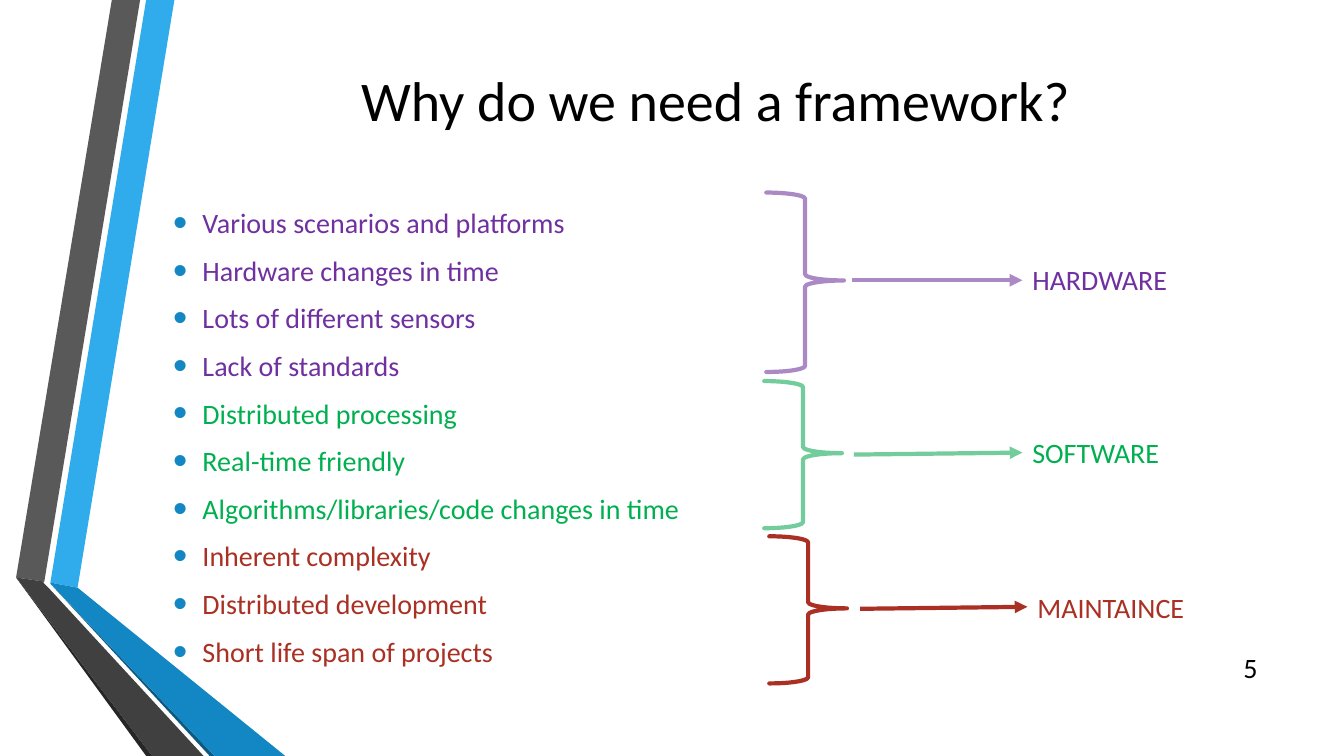
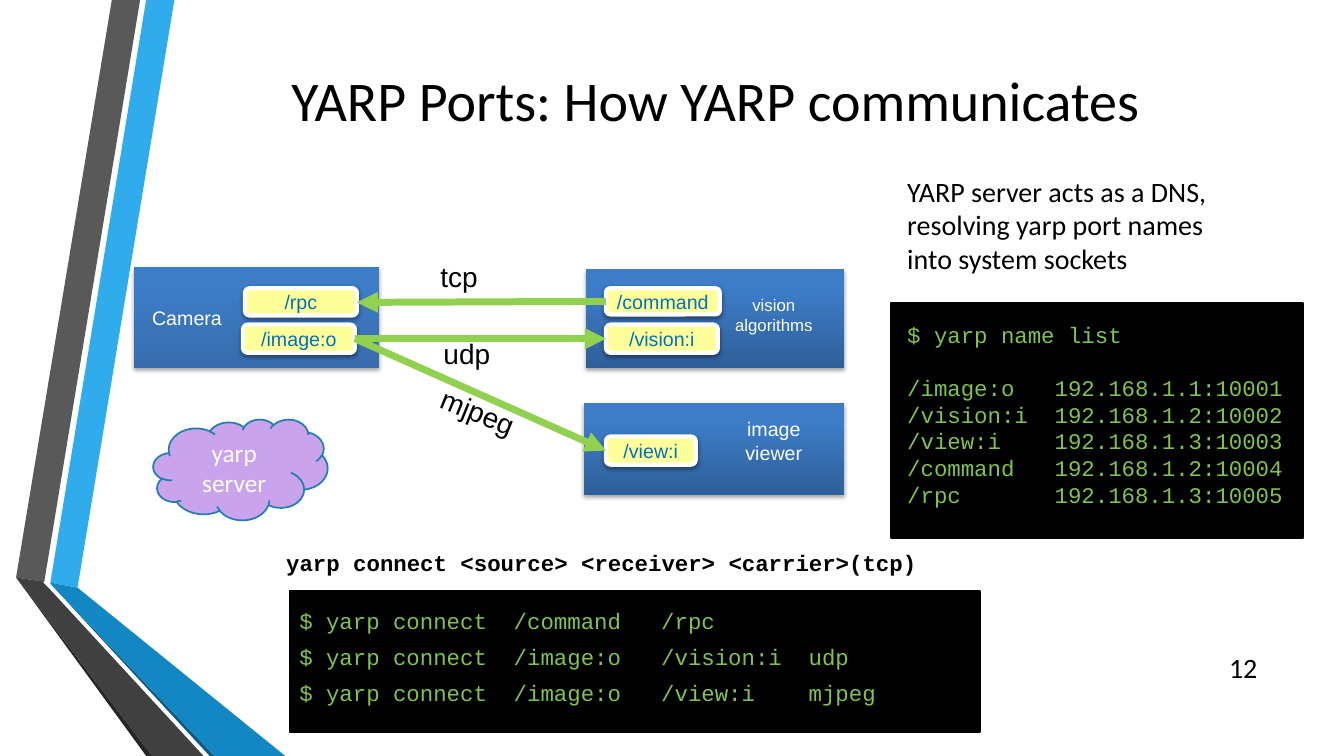
from dataclasses import dataclass, replace
from typing import Optional, Sequence

import pptx
import pptx.dml.color
import pptx.enum.dml
import pptx.enum.shapes
import pptx.enum.text
import pptx.oxml
import pptx.oxml.ns
import pptx.util
from pptx.util import Inches

SHAPE = pptx.enum.shapes.MSO_SHAPE
ALIGN = pptx.enum.text.PP_ALIGN
ANCHOR = pptx.enum.text.MSO_ANCHOR
NS = pptx.oxml.ns.nsdecls("a")

BLACK, WHITE = "000000", "FFFFFF"
PURPLE, GREEN, RED = "7030A0", "00B050", "A93023"
LINK_GREEN = "92D050"
BULLET_BLUE = "1287C3"

# Folded ribbon on the left edge: colour and outline in inches
RIBBON = [
    ("30ACEC", [(0.5, 5.78), (0.77, 5.83), (1.73, 0), (1.45, 0)]),
    ("595959", [(1.39, 0), (1.11, 0), (0.16, 5.73), (0.44, 5.77)]),
    ("262626", [(0.16, 5.73), (1.45, 7.5), (1.51, 7.5)]),
    ("0C5A82", [(0.5, 5.79), (2.08, 7.5), (2.13, 7.5)]),
    ("1287C3", [(0.5, 5.79), (2.13, 7.5), (2.83, 7.5), (0.77, 5.83), (0.5, 5.78)]),
    ("404040", [(2.02, 7.5), (0.48, 5.83), (0.43, 5.78), (0.44, 5.77),
                (0.16, 5.73), (1.51, 7.5)]),
]


@dataclass(frozen=True)
class Box:
    x: float
    y: float
    w: float
    h: float

    def emu(self) -> tuple:
        return tuple(Inches(v) for v in (self.x, self.y, self.w, self.h))


@dataclass(frozen=True)
class Style:
    size: float
    font: str = "Calibri"
    color: str = BLACK
    bold: bool = False
    align: ALIGN = ALIGN.LEFT
    before: float = 0
    after: float = 0
    line: Optional[float] = None
    bullet: bool = False


@dataclass(frozen=True)
class Need:
    label: str
    color: str
    line_color: str
    brace: Box
    arrow: tuple
    label_top: float
    items: Sequence[str]


@dataclass(frozen=True)
class Module:
    lines: Sequence[str]
    box: Box
    text_box: Box
    size: float
    dark: str


@dataclass(frozen=True)
class Port:
    name: str
    box: Box


TITLE = Style(40, align=ALIGN.CENTER)
BODY = Style(20)
NUMBER = Style(20, align=ALIGN.RIGHT)
LIST = Style(20, before=4, after=6, line=24, bullet=True)
PORT = Style(14, "Arial", "0070C0", align=ALIGN.CENTER)
CARRIER = Style(20, "Arial")
CODE = Style(16, "Courier New", "80C34F", line=19)

NEEDS = [
    Need("HARDWARE", PURPLE, "AA89C5", Box(7.6, 1.91, 0.77, 1.78),
         (8.45, 2.78, 10.14, 2.78), 2.56,
         ["Various scenarios and platforms", "Hardware changes in time",
          "Lots of different sensors", "Lack of standards"]),
    Need("SOFTWARE", GREEN, "72CC9B", Box(7.58, 3.78, 0.77, 1.46),
         (8.47, 4.51, 10.14, 4.49), 4.27,
         ["Distributed processing", "Real-time friendly",
          "Algorithms/libraries/code changes in time"]),
    Need("MAINTAINCE", RED, RED, Box(7.63, 5.32, 0.77, 1.46),
         (8.53, 6.04, 10.19, 6.02), 5.81,
         ["Inherent complexity", "Distributed development",
          "Short life span of projects"]),
]

MODULES = [
    Module(["vision", "algorithms"], Box(5.81, 2.67, 2.56, 0.98),
           Box(7.12, 2.87, 1.11, 0.5), 12, "2F5F99"),
    Module(["Camera"], Box(1.33, 2.65, 2.43, 1), Box(1.4, 2.99, 0.91, 0.34), 14, "376DAE"),
    Module(["image", "viewer"], Box(5.79, 4, 2.58, 0.91),
           Box(7.14, 4.09, 1.07, 0.57), 14, "2F5F99"),
]
PORTS = [
    Port("/vision:i", Box(6.01, 3.22, 1.11, 0.28)),
    Port("/image:o", Box(2.41, 3.22, 1.11, 0.28)),
    Port("/view:i", Box(6.01, 4.33, 0.89, 0.28)),
    Port("/rpc", Box(2.43, 2.86, 1.11, 0.27)),
    Port("/command", Box(6.01, 2.86, 1.13, 0.26)),
]
LINKS = [(3.52, 3.36, 6.01, 3.36), (3.52, 3.36, 6.01, 4.47), (6.01, 2.99, 3.54, 3)]
CARRIERS = [("udp", Box(4.3, 3.29, 0.71, 0.44), 0),
            ("mjpeg", Box(4.26, 3.88, 1.01, 0.44), 22.1),
            ("tcp", Box(4.27, 2.53, 0.66, 0.44), 0)]
NAME_LIST = [
    "/image:o   192.168.1.1:10001",
    "/vision:i  192.168.1.2:10002",
    "/view:i    192.168.1.3:10003",
    "/command   192.168.1.2:10004",
    "/rpc       192.168.1.3:10005",
]
CONNECT = [
    "$ yarp connect  /command   /rpc",
    "$ yarp connect  /image:o   /vision:i  udp",
    "$ yarp connect  /image:o   /view:i    mjpeg",
]


# Basic drawing
def rgb(color: str) -> pptx.dml.color.RGBColor:
    return pptx.dml.color.RGBColor.from_string(color)


def write(tf, lines: Sequence[str], style: Style) -> None:
    """Append one paragraph per line."""
    for text in lines:
        first = not tf.text
        p = tf.paragraphs[0] if first else tf.add_paragraph()
        if style.bullet:
            pPr = p._p.get_or_add_pPr()
            pPr.set("marL", str(Inches(0.29)))
            pPr.set("indent", str(-Inches(0.29)))
            for xml in (f'<a:buClr {NS}><a:srgbClr val="{BULLET_BLUE}"/></a:buClr>',
                        f'<a:buSzPct {NS} val="145000"/>',
                        f'<a:buFont {NS} typeface="Arial"/>',
                        f'<a:buChar {NS} char="•"/>'):
                pPr.append(pptx.oxml.parse_xml(xml))
        p.alignment = style.align
        p.space_before = pptx.util.Pt(0 if first else style.before)
        p.space_after = pptx.util.Pt(style.after)
        if style.line:
            p.line_spacing = pptx.util.Pt(style.line)
        r = p.add_run()
        r.text = text
        r.font.size = pptx.util.Pt(style.size)
        r.font.name = style.font
        r.font.bold = style.bold
        r.font.color.rgb = rgb(style.color)


def add_text(slide, box: Box, lines: Sequence[str], style: Style,
             middle: bool = False, side: float = 0.1, rotation: float = 0):
    s = slide.shapes.add_textbox(*box.emu())
    s.rotation = rotation
    tf = s.text_frame
    tf.word_wrap = True
    tf.margin_left = tf.margin_right = Inches(side)
    tf.vertical_anchor = ANCHOR.MIDDLE if middle else ANCHOR.TOP
    write(tf, lines, style)
    return tf


def add_shape(slide, kind: SHAPE, box: Box, fill: Optional[str] = None,
              line: Optional[str] = None, width: float = 1.25):
    s = slide.shapes.add_shape(kind, *box.emu())
    s.shadow.inherit = False
    if fill:
        s.fill.solid()
        s.fill.fore_color.rgb = rgb(fill)
    else:
        s.fill.background()
    if line:
        s.line.color.rgb = rgb(line)
        s.line.width = pptx.util.Pt(width)
    else:
        s.line.fill.background()
    return s


def add_shadow(s, alpha: int, distance: float) -> None:
    effects = s._element.spPr.find(pptx.oxml.ns.qn("a:effectLst"))
    effects.append(pptx.oxml.parse_xml(
        f'<a:outerShdw {NS} blurRad="{pptx.util.Pt(3.1)}" dist="{pptx.util.Pt(distance)}" '
        f'dir="5400000" rotWithShape="0"><a:srgbClr val="{BLACK}">'
        f'<a:alpha val="{alpha * 1000}"/></a:srgbClr></a:outerShdw>'))


def add_arrow(slide, ends: tuple, color: str, width: float) -> None:
    c = slide.shapes.add_connector(pptx.enum.shapes.MSO_CONNECTOR.STRAIGHT,
                                   *(Inches(v) for v in ends))
    c.line.color.rgb = rgb(color)
    c.line.width = pptx.util.Pt(width)
    c.line._get_or_add_ln().append(pptx.oxml.parse_xml(f'<a:tailEnd {NS} type="triangle"/>'))
    c._element.spPr.append(pptx.oxml.parse_xml(f"<a:effectLst {NS}/>"))


# Parts shared by the slides
def new_slide(prs, title: str, number: int):
    slide = prs.slides.add_slide(prs.slide_layouts[6])
    for color, outline in RIBBON:
        points = [(Inches(x), Inches(y)) for x, y in outline]
        builder = slide.shapes.build_freeform(*points[0], scale=1.0)
        builder.add_line_segments(points[1:], close=True)
        s = builder.convert_to_shape()
        s.shadow.inherit = False
        s.fill.solid()
        s.fill.fore_color.rgb = rgb(color)
        s.line.fill.background()
    add_text(slide, Box(1.62, 0.02, 10.95, 1.92), [title], TITLE, middle=True)
    add_text(slide, Box(11.97, 6.42, 0.6, 0.4), [str(number)], NUMBER, middle=True)
    return slide


# Slides
def framework_slide(prs) -> None:
    slide = new_slide(prs, "Why do we need a framework?", 5)
    tf = add_text(slide, Box(1.62, 1.99, 5.8, 4.92), [], LIST)
    for need in NEEDS:
        write(tf, need.items, replace(LIST, color=need.color))
        s = add_shape(slide, SHAPE.LEFT_BRACE, need.brace, line=need.line_color, width=3)
        s.rotation = 180
        s.adjustments[0], s.adjustments[1] = 0.08, 0.51
        s.line._get_or_add_ln().set("cap", "rnd")
        add_arrow(slide, need.arrow, need.line_color, 3)
        add_text(slide, Box(need.arrow[2], need.label_top, 1.78, 0.44), [need.label],
                 replace(BODY, color=need.color))


def ports_slide(prs) -> None:
    slide = new_slide(prs, "YARP Ports: How YARP communicates", 12)
    add_text(slide, Box(8.9, 1.68, 3.64, 1.11),
             ["YARP server acts as a DNS, resolving yarp port names into system sockets"], BODY)

    # Modules, their ports and the links between them
    for module in MODULES:
        s = add_shape(slide, SHAPE.RECTANGLE, module.box)
        s.fill.gradient()
        s.fill.gradient_angle = 90
        for stop, position, color in zip(s.fill.gradient_stops, (0, 0.8),
                                         (module.dark, "3D7CC7")):
            stop.position = position
            stop.color.rgb = rgb(color)
        add_shadow(s, 35, 1.8)
        add_text(slide, module.text_box, module.lines,
                 Style(module.size, "Arial", WHITE, align=ALIGN.CENTER), side=0)
    for port in PORTS:
        s = add_shape(slide, SHAPE.ROUNDED_RECTANGLE, port.box, "FFFF99", WHITE, 3)
        add_shadow(s, 38, 1.6)
        tf = s.text_frame
        tf.margin_left = tf.margin_right = tf.margin_top = tf.margin_bottom = 0
        tf.vertical_anchor = ANCHOR.MIDDLE
        write(tf, [port.name], PORT)
    for ends in LINKS:
        add_arrow(slide, ends, LINK_GREEN, 5)
    for name, box, rotation in CARRIERS:
        add_text(slide, box, [name], CARRIER, rotation=rotation)

    # Name server
    s = add_shape(slide, SHAPE.CLOUD, Box(1.52, 4.16, 1.73, 1), "CAA3ED", "247FAF")
    s.text_frame.word_wrap = True
    s.text_frame.vertical_anchor = ANCHOR.MIDDLE
    write(s.text_frame, ["yarp server"], Style(18, color=WHITE, align=ALIGN.CENTER))

    # Terminals
    add_shape(slide, SHAPE.RECTANGLE, Box(8.84, 3.01, 4.08, 2.33), BLACK, BLACK)
    tf = add_text(slide, Box(8.9, 3.14, 4.06, 2.2), ["$ yarp name list"], CODE)
    write(tf, NAME_LIST[:1], replace(CODE, before=CODE.line))
    write(tf, NAME_LIST[1:], CODE)
    add_text(slide, Box(2.74, 5.4, 8.59, 0.37),
             ["yarp connect <source> <receiver> <carrier>(tcp)"],
             replace(CODE, color=BLACK, bold=True))
    add_shape(slide, SHAPE.RECTANGLE, Box(2.87, 5.86, 6.85, 1.4), BLACK, BLACK)
    add_text(slide, Box(2.87, 5.98, 6.85, 1.1), CONNECT, replace(CODE, before=6.7))


def main() -> None:
    prs = pptx.Presentation()
    prs.slide_width, prs.slide_height = Inches(13.33), Inches(7.5)
    framework_slide(prs)
    ports_slide(prs)
    prs.save("out.pptx")


if __name__ == "__main__":
    main()
